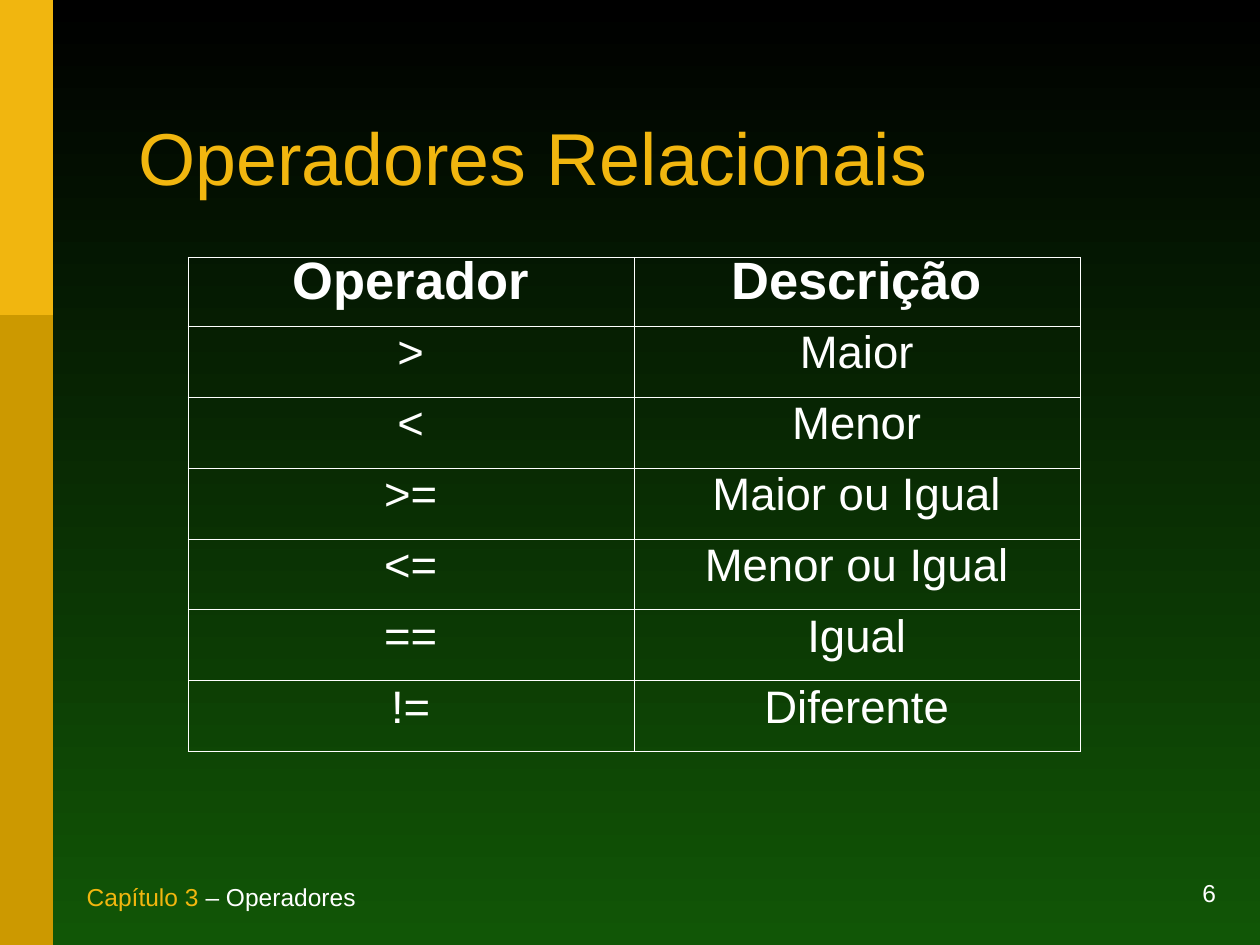
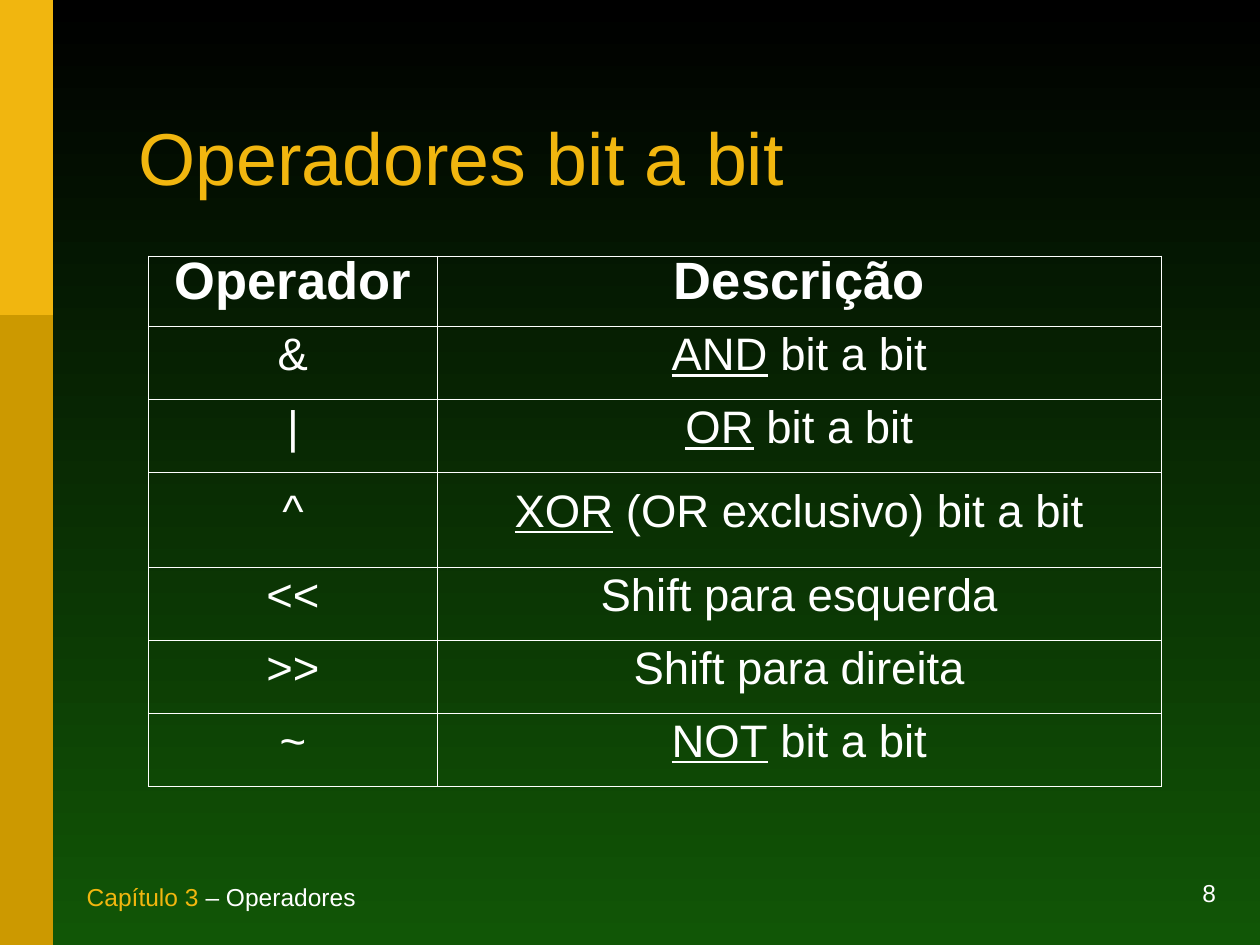
from lxml import etree
from pptx import Presentation
from pptx.dml.color import RGBColor
from pptx.enum import shapes, text
from pptx.oxml.ns import qn
from pptx.util import Inches, Pt

FONT = "Arial"
BLACK = RGBColor(0x00, 0x00, 0x00)
GREEN = RGBColor(0x11, 0x56, 0x06)
GOLD = RGBColor(0xF1, 0xB6, 0x0F)
DARK_GOLD = RGBColor(0xCC, 0x99, 0x00)
WHITE = RGBColor(0xFF, 0xFF, 0xFF)

CHAPTER, TOPIC = "Capítulo 3", " – Operadores"
HEADER = ("Operador", "Descrição")

# Each row is an operator, the underlined keyword and the rest of its description.
SLIDES = [
    {
        "title": "Operadores Relacionais",
        "number": "6",
        "corner": (1.49, 2.04),
        "columns": (3.54, 3.54),
        "heights": [0.53] + [0.56] * 6,
        "rows": [
            (">", "", "Maior"),
            ("<", "", "Menor"),
            (">=", "", "Maior ou Igual"),
            ("<=", "", "Menor ou Igual"),
            ("==", "", "Igual"),
            ("!=", "", "Diferente"),
        ],
    },
    {
        "title": "Operadores bit a bit",
        "number": "8",
        "corner": (1.18, 2.03),
        "columns": (2.29, 5.75),
        "heights": [0.56, 0.58, 0.58, 0.75, 0.58, 0.58, 0.58],
        "rows": [
            ("&", "AND", " bit a bit"),
            ("|", "OR", " bit a bit"),
            ("^", "XOR", " (OR exclusivo) bit a bit"),
            ("<<", "", "Shift para esquerda"),
            (">>", "", "Shift para direita"),
            ("~", "NOT", " bit a bit"),
        ],
    },
]


def add_span(para, words, size, color, bold=False, underline=False):
    span = para.add_run()
    span.text = words
    span.font.name, span.font.size = FONT, Pt(size)
    span.font.color.rgb = color
    span.font.bold, span.font.underline = bold, underline


def add_text(page, area, anchor, size, spans, align=text.PP_ALIGN.LEFT, spacing=1.0):
    box = page.shapes.add_textbox(*map(Inches, area))
    frame = box.text_frame
    frame.word_wrap = True
    frame.vertical_anchor = anchor
    para = frame.paragraphs[0]
    para.alignment, para.line_spacing = align, spacing
    for words, color in spans:
        add_span(para, words, size, color)


def paint_background(page):
    fill = page.background.fill
    fill.gradient()
    fill.gradient_angle = 270
    for stop, color, position in zip(fill.gradient_stops, (BLACK, GREEN), (0, 1)):
        stop.color.rgb = color
        stop.position = position


def add_frame(page, slide):
    """Draw what every slide shares: background, side band, footers, title style."""
    paint_background(page)
    for height, color in ((7.5, DARK_GOLD), (2.5, GOLD)):
        band = page.shapes.add_shape(
            shapes.MSO_SHAPE.RECTANGLE, 0, 0, Inches(0.42), Inches(height))
        band.shadow.inherit = False
        band.fill.solid()
        band.fill.fore_color.rgb = color
        band.line.fill.background()
    bottom = text.MSO_ANCHOR.BOTTOM
    add_text(page, (7.25, 7, 2.5, 0.25), bottom, 14,
             [(slide["number"], WHITE)], align=text.PP_ALIGN.RIGHT)
    add_text(page, (0.59, 7.03, 4.33, 0.25), bottom, 14,
             [(CHAPTER, GOLD), (TOPIC, WHITE)])
    add_text(page, (1, 0.67, 8.25, 1.25), text.MSO_ANCHOR.MIDDLE, 42,
             [(slide["title"], GOLD)], spacing=0.85)


def add_borders(cell):
    properties = cell._tc.get_or_add_tcPr()
    for index, side in enumerate(("a:lnL", "a:lnR", "a:lnT", "a:lnB")):
        line = etree.Element(qn(side), w=str(Pt(0.28)))
        solid = etree.SubElement(line, qn("a:solidFill"))
        etree.SubElement(solid, qn("a:srgbClr"), val=str(WHITE))
        properties.insert(index, line)


def fill_cell(cell, keyword, words, is_header):
    cell.fill.background()
    add_borders(cell)
    cell.vertical_anchor = text.MSO_ANCHOR.MIDDLE
    cell.margin_left = cell.margin_right = Inches(0.04)
    cell.margin_top = 0
    cell.margin_bottom = Inches(0.11 if is_header else 0.13)
    para = cell.text_frame.paragraphs[0]
    para.alignment = text.PP_ALIGN.CENTER
    para.line_spacing = 0.87 if is_header else 1.0
    size = 30 if is_header else 26
    if keyword:
        add_span(para, keyword, size, WHITE, underline=True)
    add_span(para, words, size, WHITE, bold=is_header)


def add_operator_table(page, slide):
    columns, heights = slide["columns"], slide["heights"]
    area = (*slide["corner"], sum(columns), sum(heights))
    table = page.shapes.add_table(
        len(heights), len(columns), *map(Inches, area)).table
    table.first_row = table.horz_banding = False
    for column, width in zip(table.columns, columns):
        column.width = Inches(width)
    for row, height in zip(table.rows, heights):
        row.height = Inches(height)
    lines = [(HEADER[0], "", HEADER[1])] + slide["rows"]
    for index, (operator, keyword, description) in enumerate(lines):
        fill_cell(table.cell(index, 0), "", operator, index == 0)
        fill_cell(table.cell(index, 1), keyword, description, index == 0)


def main():
    deck = Presentation()
    deck.slide_width, deck.slide_height = Inches(10), Inches(7.5)
    for slide in SLIDES:
        page = deck.slides.add_slide(deck.slide_layouts[6])
        add_frame(page, slide)
        add_operator_table(page, slide)
    deck.save("out.pptx")


if __name__ == "__main__":
    main()
